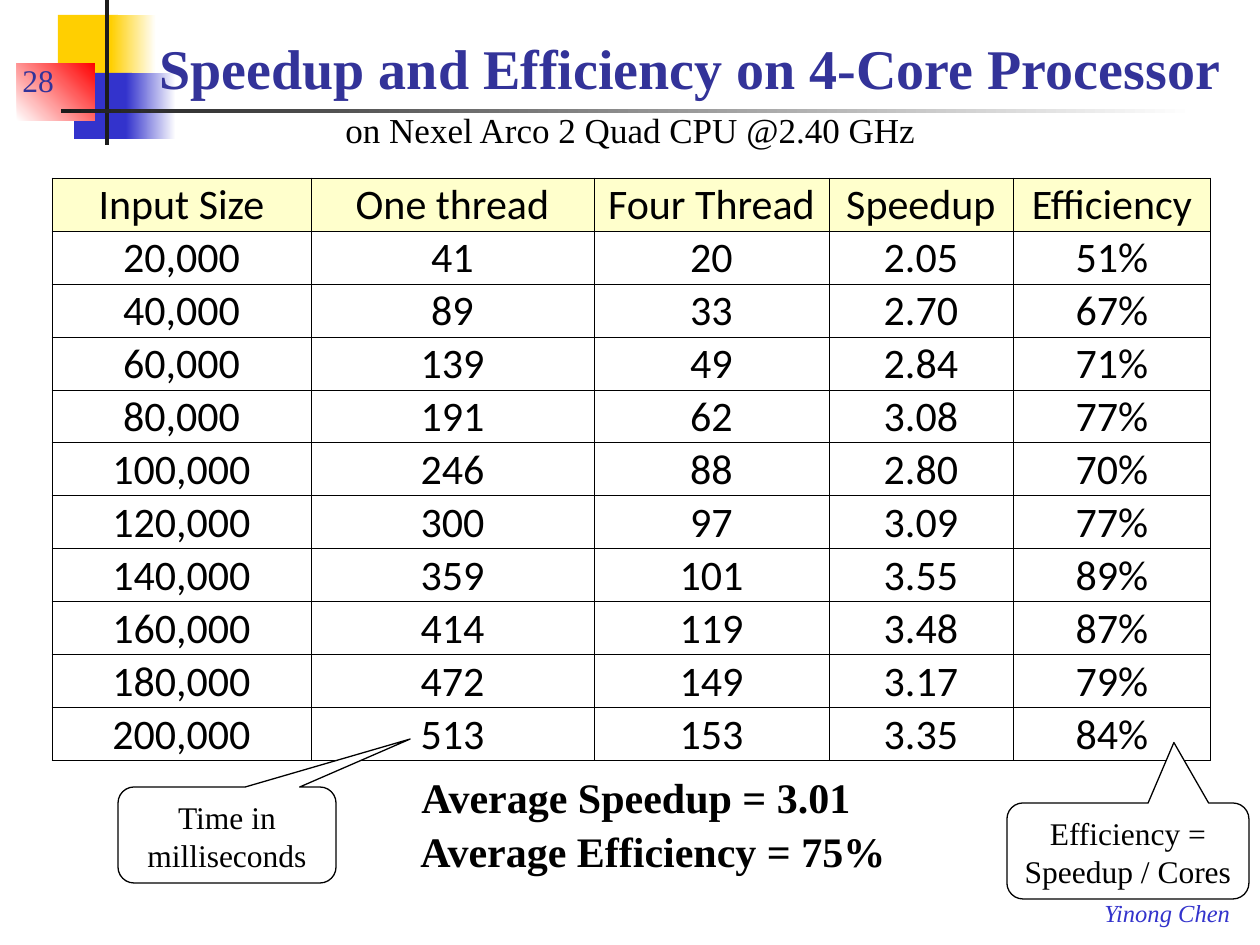
from lxml import etree
from pptx import Presentation
from pptx.dml.color import RGBColor
from pptx.enum.shapes import MSO_SHAPE
from pptx.enum.text import MSO_ANCHOR, MSO_AUTO_SIZE, PP_ALIGN
from pptx.oxml.ns import qn
from pptx.util import Emu, Pt

RECTANGLE = MSO_SHAPE.RECTANGLE
CALLOUT = MSO_SHAPE.ROUNDED_RECTANGULAR_CALLOUT
TOP, BOTTOM = MSO_ANCHOR.TOP, MSO_ANCHOR.BOTTOM
LEFT, CENTER = PP_ALIGN.LEFT, PP_ALIGN.CENTER
NO_FIT = MSO_AUTO_SIZE.NONE

SERIF, SANS = "Times New Roman", "Calibri"
BLACK, WHITE, DARK = "000000", "FFFFFF", "1C1C1C"
YELLOW, BLUE, RED, NAVY = "FFCF01", "3333CC", "FF0000", "333399"
HEADER_FILL = "FFFFCC"

HEADERS = ["Input Size", "One thread", "Four Thread", "Speedup", "Efficiency"]
COLUMN_WIDTHS = [259, 283, 235, 184, 198]
ROW_HEIGHT = 53
CORES = 4
SIZE_STEP = 20000
ONE_THREAD = [41, 89, 139, 191, 246, 300, 359, 414, 472, 513]
FOUR_THREADS = [20, 33, 49, 62, 88, 97, 101, 119, 149, 153]


def px(count):
    return Emu(count * 914400 // 126)


def color(value):
    return RGBColor.from_string(value)


def write(frame, text, size=18, font=SERIF, ink=BLACK, bold=False, italic=False,
          align=LEFT, anchor=TOP, wrap=True):
    frame.auto_size = NO_FIT
    frame.word_wrap = wrap
    frame.vertical_anchor = anchor
    para = frame.paragraphs[0]
    para.alignment = align
    span = para.add_run()
    span.text = text
    span.font.size = Pt(size)
    span.font.name = font
    span.font.color.rgb = color(ink)
    span.font.bold = bold
    span.font.italic = italic


def add_label(page, text, left, top, width, height, **style):
    box = page.shapes.add_textbox(px(left), px(top), px(width), px(height))
    write(box.text_frame, text, **style)


def add_block(page, left, top, width, height, start, end=None, angle=0):
    block = page.shapes.add_shape(RECTANGLE, px(left), px(top), px(width), px(height))
    block.shadow.inherit = False
    block.line.fill.background()
    if end is None:
        block.fill.solid()
        block.fill.fore_color.rgb = color(start)
        return
    block.fill.gradient()
    block.fill.gradient_angle = angle
    for stop, value in zip(block.fill.gradient_stops, (start, end)):
        stop.color.rgb = color(value)


def add_callout(page, text, left, top, width, height, tip_x, tip_y):
    callout = page.shapes.add_shape(CALLOUT, px(left), px(top), px(width), px(height))
    callout.shadow.inherit = False
    callout.adjustments[0] = tip_x
    callout.adjustments[1] = tip_y
    callout.fill.solid()
    callout.fill.fore_color.rgb = color(WHITE)
    callout.line.color.rgb = color(BLACK)
    callout.line.width = Pt(0.75)
    write(callout.text_frame, text, align=CENTER)


def add_borders(cell):
    properties = cell._tc.get_or_add_tcPr()
    for side in ("lnL", "lnR", "lnT", "lnB"):
        line = etree.SubElement(properties, qn(f"a:{side}"), w=str(Pt(0.5)))
        fill = etree.SubElement(line, qn("a:solidFill"))
        etree.SubElement(fill, qn("a:srgbClr"), val=BLACK)


def fill_cell(cell, text, is_header):
    cell.margin_left = cell.margin_right = cell.margin_top = px(1)
    cell.margin_bottom = 0
    cell.vertical_anchor = BOTTOM
    add_borders(cell)
    if is_header:
        cell.fill.solid()
        cell.fill.fore_color.rgb = color(HEADER_FILL)
    else:
        cell.fill.background()
    para = cell.text_frame.paragraphs[0]
    para.alignment = CENTER
    span = para.add_run()
    span.text = text
    span.font.size = Pt(24)
    span.font.name = SANS
    span.font.color.rgb = color(BLACK)
    span.font.bold = False


def timing_rows():
    rows = [HEADERS]
    for number, (one, four) in enumerate(zip(ONE_THREAD, FOUR_THREADS), start=1):
        speedup = one / four
        rows.append([f"{number * SIZE_STEP:,}", str(one), str(four),
                     f"{speedup:.2f}", f"{speedup / CORES:.0%}"])
    return rows


def add_timing_table(page, left, top):
    rows = timing_rows()
    table = page.shapes.add_table(
        len(rows), len(HEADERS), px(left), px(top),
        px(sum(COLUMN_WIDTHS)), px(ROW_HEIGHT * len(rows))).table
    table.first_row = False
    table.horz_banding = False
    for column, width in zip(table.columns, COLUMN_WIDTHS):
        column.width = px(width)
    for row_index, values in enumerate(rows):
        table.rows[row_index].height = px(ROW_HEIGHT)
        for column_index, text in enumerate(values):
            fill_cell(table.cell(row_index, column_index), text, row_index == 0)


def add_ornament(page):
    add_block(page, 58, 15, 60, 66, YELLOW)
    add_block(page, 111, 15, 45, 66, YELLOW, WHITE)
    add_block(page, 74, 73, 58, 66, BLUE)
    add_block(page, 126, 73, 50, 66, BLUE, WHITE)
    add_block(page, 17, 63, 78, 58, WHITE, RED, angle=45)
    add_block(page, 105, 0, 4, 145, DARK)
    add_block(page, 61, 109, 1134, 4, DARK, WHITE)


def set_title(page, text, left, top, width, height):
    title = page.shapes.title
    title.left, title.top = px(left), px(top)
    title.width, title.height = px(width), px(height)
    write(title.text_frame, text, size=32, ink=NAVY, bold=True, anchor=BOTTOM)
    tree = page.shapes._spTree
    tree.remove(title._element)
    tree.append(title._element)


def main():
    deck = Presentation()
    deck.slide_width, deck.slide_height = px(1260), px(945)
    page = deck.slides.add_slide(deck.slide_layouts[5])

    add_ornament(page)
    add_label(page, "Yinong Chen", 1092, 892, 151, 43,
              size=14, ink=BLUE, italic=True, wrap=False)
    set_title(page, "Speedup and Efficiency on 4-Core Processor", 147, 21, 1103, 86)
    add_label(page, "28", 10, 42, 107, 63, ink=NAVY, anchor=BOTTOM)
    add_label(page, "Average Speedup = 3.01", 409, 765, 459, 64,
              size=24, bold=True, wrap=False)
    add_label(page, "Average Efficiency = 75%", 408, 819, 495, 64,
              size=24, bold=True, wrap=False)
    add_timing_table(page, 52, 178)
    add_label(page, "on Nexel Arco 2 Quad CPU @2.40 GHz", 333, 102, 581, 55,
              size=20, wrap=False)
    add_callout(page, "Time in milliseconds", 118, 787, 218, 96, 0.84, -1)
    add_callout(page, "Efficiency = Speedup / Cores", 1007, 803, 242, 96, 0.19, -1.13)

    deck.save("out.pptx")


if __name__ == "__main__":
    main()
